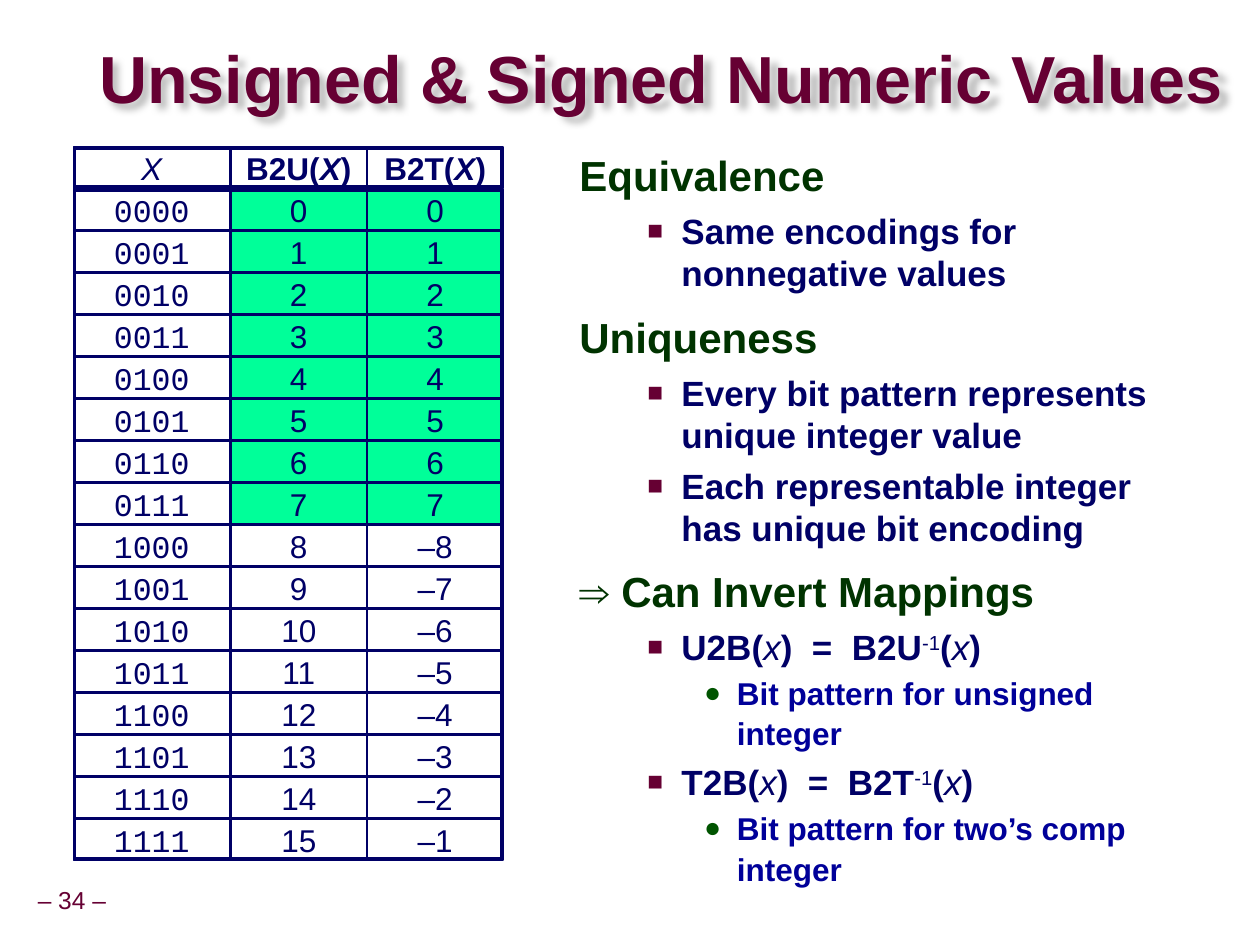
from dataclasses import dataclass

from lxml.etree import SubElement
from pptx import Presentation
from pptx.dml.color import RGBColor
from pptx.enum.shapes import MSO_SHAPE
from pptx.enum.text import MSO_ANCHOR, PP_ALIGN
from pptx.oxml.ns import qn
from pptx.util import Inches, Pt


@dataclass(frozen=True)
class Theme:
    wine: str = "660033"
    navy: str = "000066"
    blue: str = "000099"
    pine: str = "003300"
    leaf: str = "005400"
    mint: str = "00FF99"
    white: str = "FFFFFF"
    black: str = "000000"
    sans: str = "Arial"
    mono: str = "Courier New"
    title: int = 38
    head: int = 24
    point: int = 20
    small: int = 18
    foot: int = 14
    rule: int = 1
    thick: int = 2


@dataclass(frozen=True)
class Level:
    size: int
    color: str
    space: float
    before: int
    left: float = 0
    hang: float = 0
    mark: str = ""
    tint: str = ""
    scale: int = 100


THEME = Theme()
HEAD = Level(THEME.head, THEME.pine, 0.95, 12)
POINT = Level(THEME.point, THEME.navy, 1, 5, 0.81, 0.27, "■", THEME.wine, 75)
SUB = Level(THEME.small, THEME.blue, 1.07, 2, 1.25, 0.26, "●", THEME.leaf, 90)


def add(parent, tag, **attrs):
    return SubElement(parent, qn(tag), {key: str(val) for key, val in attrs.items()})


class Page:
    def __init__(self, deck, theme):
        self.theme = theme
        self.unit = deck.slide_width / 120
        self.slide = deck.slides.add_slide(deck.slide_layouts[5])

    def grid(self, *cells):
        return [round(cell * self.unit) for cell in cells]

    def font(self, font, size, color, bold=False, name=None):
        font.name = name or self.theme.sans
        font.size = Pt(size)
        font.bold = bold
        font.color.rgb = RGBColor.from_string(color)

    def inset(self, frame, side, end):
        frame.margin_left = frame.margin_right = Inches(side)
        frame.margin_top = frame.margin_bottom = Inches(end)

    def fill(self, para, parts):
        for part in parts:
            text, style = part if isinstance(part, tuple) else (part, "")
            run = para.add_run()
            run.text = text
            if "i" in style:
                run.font.italic = True
            if "n" in style:
                run.font.bold = False
            if "s" in style:
                run.font._element.set("baseline", "30000")

    def title(self, text, box):
        shape = self.slide.shapes.title
        shape.left, shape.top, shape.width, shape.height = self.grid(*box)
        frame = shape.text_frame
        frame.text = text
        frame.word_wrap = False
        frame.vertical_anchor = MSO_ANCHOR.TOP
        self.inset(frame, 0.07, 0.03)
        para = frame.paragraphs[0]
        para.alignment = PP_ALIGN.LEFT
        para.line_spacing = 0.87
        self.font(para.font, self.theme.title, self.theme.wine, True)
        glow = add(shape._element.spPr, "a:effectLst")
        shade = add(glow, "a:outerShdw", blurRad=50800, dist=53900, dir=2700000)
        add(add(shade, "a:srgbClr", val=self.theme.black), "a:alpha", val=25000)

    def label(self, text, box):
        frame = self.slide.shapes.add_textbox(*self.grid(*box)).text_frame
        frame.word_wrap = False
        frame.vertical_anchor = MSO_ANCHOR.MIDDLE
        self.inset(frame, 0.05, 0.05)
        para = frame.paragraphs[0]
        para.text = text
        para.alignment = PP_ALIGN.CENTER
        para.line_spacing = 0.9
        self.font(para.font, self.theme.foot, self.theme.wine)

    def outline(self, items, box):
        frame = self.slide.shapes.add_textbox(*self.grid(*box)).text_frame
        frame.word_wrap = True
        for spot, (level, *parts) in enumerate(items):
            para = frame.add_paragraph() if spot else frame.paragraphs[0]
            para.line_spacing = level.space
            if spot:
                para.space_before = Pt(level.before)
            if level.mark:
                self.bullet(para, level)
            self.font(para.font, level.size, level.color, True)
            self.fill(para, parts)

    def bullet(self, para, level):
        props = para._p.get_or_add_pPr()
        props.set("marL", str(Inches(level.left)))
        props.set("indent", str(-Inches(level.hang)))
        add(add(props, "a:buClr"), "a:srgbClr", val=level.tint)
        add(props, "a:buSzPct", val=level.scale * 1000)
        add(props, "a:buFont", typeface=self.theme.sans)
        add(props, "a:buChar", char=level.mark)

    def rect(self, group, box, width, color=None):
        shape = group.shapes.add_shape(MSO_SHAPE.RECTANGLE, *self.grid(*box))
        shape.shadow.inherit = False
        shape.line.color.rgb = RGBColor.from_string(self.theme.navy)
        shape.line.width = Pt(width)
        if color:
            shape.fill.solid()
            shape.fill.fore_color.rgb = RGBColor.from_string(color)
        else:
            shape.fill.background()
        return shape

    def cell(self, group, box, parts, color, bold, name):
        frame = self.rect(group, box, self.theme.rule, color).text_frame
        frame.word_wrap = False
        frame.vertical_anchor = MSO_ANCHOR.MIDDLE
        self.inset(frame, 0.1, 0.05)
        para = frame.paragraphs[0]
        para.alignment = PP_ALIGN.CENTER
        self.font(para.font, self.theme.small, self.theme.navy, bold, name)
        self.fill(para, parts)

    def table(self, rows, left, top, wide, high):
        look = self.theme
        gap = 0.1
        group = self.slide.shapes.add_group_shape()
        for row, texts in enumerate(rows):
            for col, parts in enumerate(texts):
                box = (left + sum(wide[:col]), top + row * high,
                       wide[col] - gap, high - gap)
                color = look.mint if col and 1 <= row <= 8 else look.white
                name = look.mono if row and not col else look.sans
                self.cell(group, box, parts, color, row == 0 and col > 0, name)
        span = sum(wide) - 3 * gap
        full = high * (len(rows) - 1)
        self.rect(group, (left + gap, top + gap, span, high - 3 * gap), look.thick)
        self.rect(group, (left + gap, top + high + gap, span, full - 3 * gap), look.thick)


def signed(num):
    return str(num) if num < 8 else f"–{16 - num}"


def inverse(left, right):
    return (POINT, f"{left}(", ("x", "in"), f")  =  {right}", ("-1", "ns"),
            "(", ("x", "in"), ")")


def main():
    deck = Presentation()
    deck.slide_width, deck.slide_height = Inches(10), Inches(7.5)
    page = Page(deck, THEME)
    page.title("Unsigned & Signed Numeric Values", (8.6, 4.2, 109, 7.3))
    page.label("– 34 –", (2.9, 84, 7.9, 3.7))
    page.outline([
        (HEAD, "Equivalence"),
        (POINT, "Same encodings for nonnegative values"),
        (HEAD, "Uniqueness"),
        (POINT, "Every bit pattern represents unique integer value"),
        (POINT, "Each representable integer has unique bit encoding"),
        (HEAD, "⇒ Can Invert Mappings"),
        inverse("U2B", "B2U"),
        (SUB, "Bit pattern for unsigned integer"),
        inverse("T2B", "B2T"),
        (SUB, "Bit pattern for two’s comp integer"),
    ], (54, 14, 58.5, 68.5))
    var = ("X", "i")
    rows = [([var], ["B2U(", var, ")"], ["B2T(", var, ")"])]
    rows += [([f"{num:04b}"], [str(num)], [signed(num)]) for num in range(16)]
    page.table(rows, 7, 14, (15, 13, 13), 4)
    deck.save("out.pptx")


if __name__ == "__main__":
    main()
